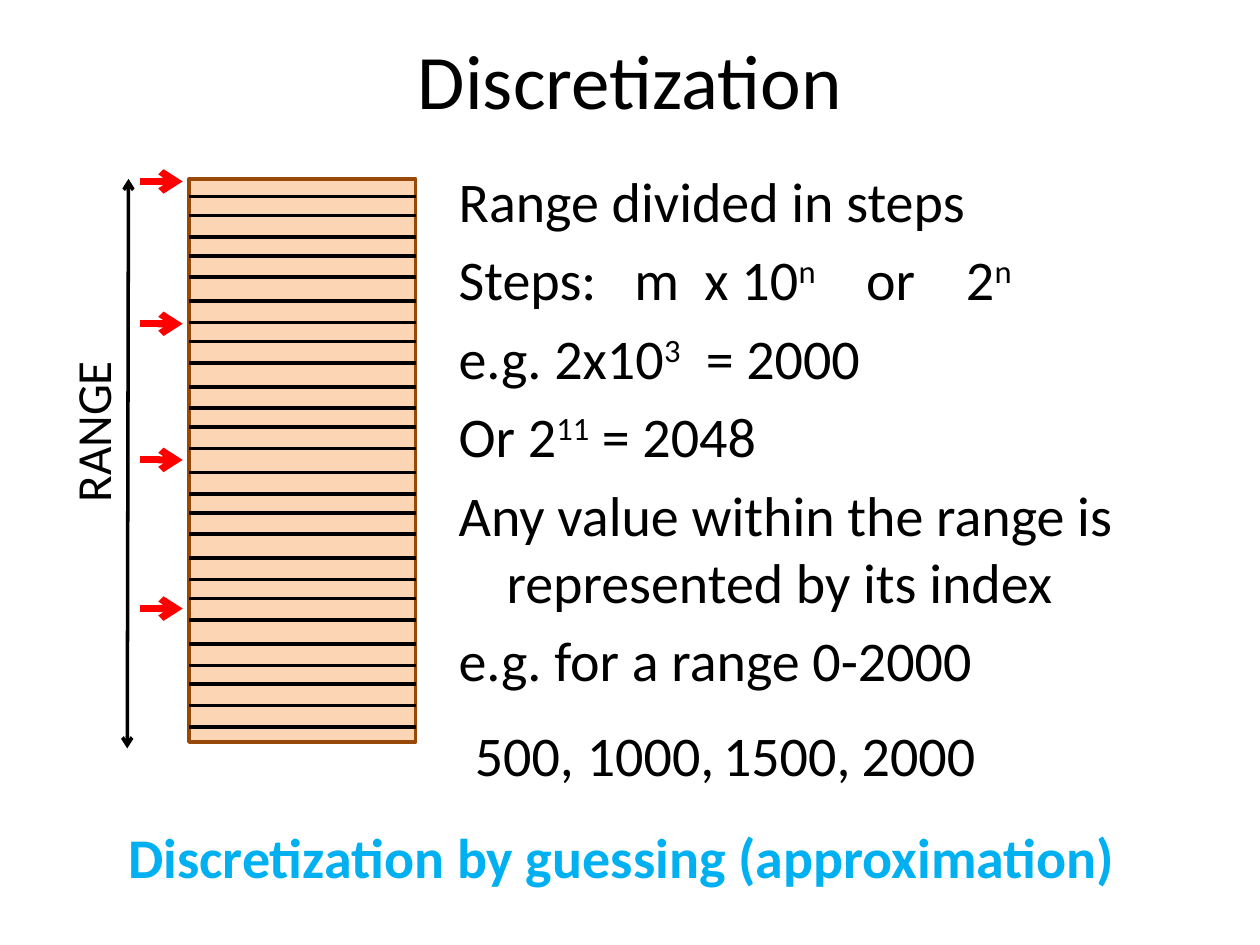
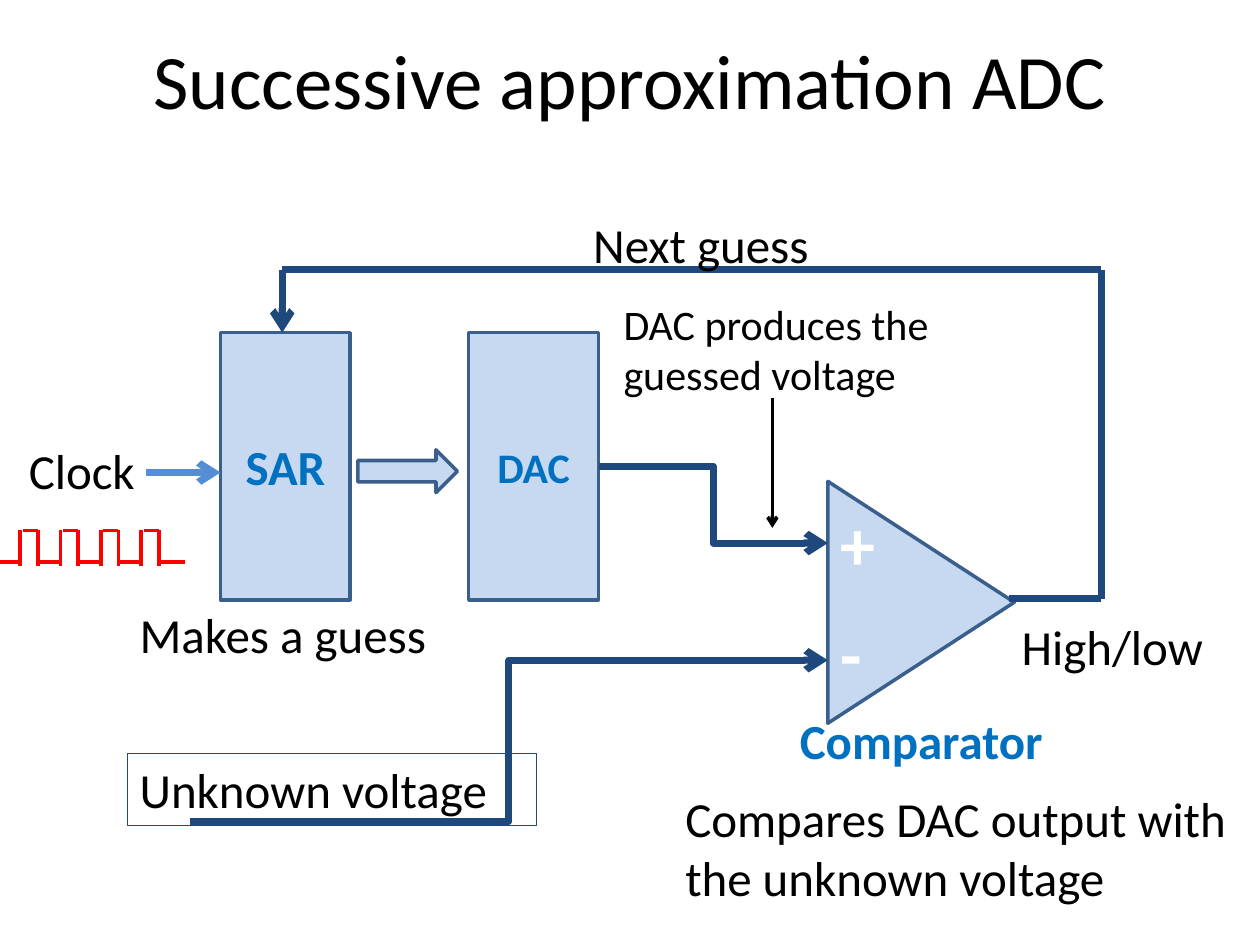
"""Build two slides on discretization and the successive approximation converter."""
from dataclasses import dataclass

from lxml.etree import SubElement
from pptx import Presentation
from pptx.dml.color import RGBColor
from pptx.enum.shapes import MSO_CONNECTOR, MSO_SHAPE
from pptx.enum.text import MSO_ANCHOR, MSO_AUTO_SIZE, PP_ALIGN
from pptx.oxml.ns import qn
from pptx.util import Inches, Pt


@dataclass(frozen=True)
class Theme:
    font: str = "Calibri"
    ink: str = "000000"
    white: str = "FFFFFF"
    red: str = "FF0000"
    sky: str = "00B0F0"
    label_blue: str = "0070C0"
    wire: str = "1F497D"
    clock_wire: str = "558ED5"
    block_fill: str = "C6D9F1"
    block_line: str = "3A5F8C"
    scale_fill: str = "FCD5B5"
    scale_line: str = "984807"
    title_size: int = 44
    sign_size: int = 40
    body_size: int = 32
    label_size: int = 28
    small_size: int = 24
    thin: float = 2
    thick: float = 4


THEME = Theme()

BODY_LINES = [
    ("Range divided in steps",),
    ("Steps:   m  x 10", "n", "    or    2", "n"),
    ("e.g. 2x10", "3", "  = 2000"),
    ("Or 2", "11", " = 2048"),
    ("Any value within the range is represented by its index",),
    ("e.g. for a range 0-2000",),
]
SCALE = (1.5, 1.42, 1.8, 4.47)
STEP_PERIOD, STEP_GROUPS = 0.68, 6
STEP_OFFSETS = (1.71, 1.88, 2.03, 2.2)
END_STEPS = (1.56, 5.77)
MARKS = [
    ("500,", 4.83, 3.67, 1.1),
    ("1000,", 3.65, 4.56, 1.33),
    ("1500,", 2.57, 5.64, 1.33),
    ("2000", 1.44, 6.74, 1.22),
]

BLOCKS = [
    ("SAR", 1.75, THEME.label_size),
    ("DAC", 3.72, THEME.small_size),
]
LABELS = [
    ("Makes a guess", (1.01, 4.75, 2.59, 0.57)),
    ("High/low", (8.01, 4.84, 1.84, 0.57)),
    ("Next guess", (4.61, 1.65, 2.76, 0.57)),
    ("Clock", (0.13, 3.45, 1.08, 0.57)),
    ("Compares DAC output with the unknown voltage", (5.34, 6.21, 4.68, 1.04)),
]
INPUT_SIGNS = [("+", 3.92), ("-", 4.8)]
FEEDBACK = [(8.01, 4.75), (8.74, 4.75), (8.74, 2.14), (2.24, 2.14), (2.24, 2.64)]
PULSES, PULSE_PERIOD, PULSE_WIDTH = 4, 0.32, 0.14
PULSE_START, PULSE_HIGH, PULSE_LOW = 0.16, 4.21, 4.46


def style_span(span, size, color=THEME.ink, bold=False):
    span.font.name = THEME.font
    span.font.size = Pt(size)
    span.font.bold = bold
    span.font.color.rgb = RGBColor.from_string(color)


def write(frame, text, size, color=THEME.ink, bold=False, align=PP_ALIGN.LEFT):
    frame.text = text
    for para in frame.paragraphs:
        para.alignment = align
        for span in para.runs:
            style_span(span, size, color, bold)


def place(shape, area):
    shape.left, shape.top, shape.width, shape.height = map(Inches, area)


def add_page(deck, layout, title):
    page = deck.slides.add_slide(deck.slide_layouts[layout])
    place(page.shapes.title, (0.5, 0, 9, 1.25))
    write(page.shapes.title.text_frame, title, THEME.title_size, align=PP_ALIGN.CENTER)
    page.shapes.title.text_frame.vertical_anchor = MSO_ANCHOR.MIDDLE
    return page


def add_label(page, text, area, size=THEME.label_size, wrap=True, **style):
    box = page.shapes.add_textbox(*map(Inches, area))
    box.text_frame.word_wrap = wrap
    box.text_frame.auto_size = MSO_AUTO_SIZE.SHAPE_TO_FIT_TEXT
    write(box.text_frame, text, size, **style)
    return box


def add_block(page, kind, area, fill=THEME.block_fill, line=THEME.block_line):
    block = page.shapes.add_shape(kind, *map(Inches, area))
    block.shadow.inherit = False
    block.fill.solid()
    block.fill.fore_color.rgb = RGBColor.from_string(fill)
    block.line.color.rgb = RGBColor.from_string(line)
    block.line.width = Pt(THEME.thin)
    return block


def add_line(page, start, end, color=THEME.ink, width=THEME.thin, ends=(),
             kind=MSO_CONNECTOR.STRAIGHT):
    line = page.shapes.add_connector(kind, *map(Inches, (*start, *end)))
    line.line.color.rgb = RGBColor.from_string(color)
    line.line.width = Pt(width)
    properties = line._element.spPr
    for end_name in ends:
        SubElement(properties.find(qn("a:ln")), qn(f"a:{end_name}")).set("type", "arrow")
    SubElement(properties, qn("a:effectLst"))


def fill_body(body):
    place(body, (3.54, 1.27, 5.83, 5.59))
    frame = body.text_frame
    frame.auto_size = MSO_AUTO_SIZE.NONE
    for index, parts in enumerate(BODY_LINES):
        para = frame.paragraphs[0] if index == 0 else frame.add_paragraph()
        properties = para._p.get_or_add_pPr()
        properties.set("marL", str(Inches(0.38)))
        properties.set("indent", str(-Inches(0.38)))
        SubElement(properties, qn("a:buNone"))
        for position, part in enumerate(parts):
            span = para.add_run()
            span.text = part
            style_span(span, THEME.body_size)
            if position % 2:
                span._r.get_or_add_rPr().set("baseline", "30000")


def build_discretization(deck):
    page = add_page(deck, 1, "Discretization")
    fill_body(page.placeholders[1])

    left, top, width, _ = SCALE
    add_block(page, MSO_SHAPE.RECTANGLE, SCALE, THEME.scale_fill, THEME.scale_line)
    steps = [offset + group * STEP_PERIOD
             for group in range(STEP_GROUPS) for offset in STEP_OFFSETS]
    for y in (*steps, *END_STEPS):
        add_line(page, (left, y), (left + width, y))

    add_line(page, (1.02, top), (1.01, 5.94), ends=("headEnd", "tailEnd"))
    add_label(page, "RANGE", (-0.15, 2.92, 1.76, 0.57)).rotation = 270
    for text, y, label_left, label_width in MARKS:
        add_line(page, (1.11, y), (1.45, y), THEME.red, THEME.thick, ("tailEnd",))
        add_label(page, text, (label_left, 5.67, label_width, 0.64),
                  THEME.body_size, wrap=False)
    add_label(page, "Discretization by guessing (approximation)", (0.21, 6.48, 9.45, 0.64),
              THEME.body_size, color=THEME.sky, bold=True, align=PP_ALIGN.CENTER)


def draw_clock_signal(page):
    low_start = -0.02
    for pulse in range(PULSES):
        rise = PULSE_START + pulse * PULSE_PERIOD
        fall = rise + PULSE_WIDTH
        add_line(page, (low_start, PULSE_LOW), (rise, PULSE_LOW), THEME.red)
        add_line(page, (rise + 0.02, PULSE_HIGH), (fall, PULSE_HIGH), THEME.red)
        for x in (rise, fall):
            add_line(page, (x, PULSE_LOW + 0.03), (x, PULSE_HIGH), THEME.red)
        low_start = fall
    add_line(page, (low_start, PULSE_LOW), (1.47, PULSE_LOW), THEME.red)


def build_converter(deck):
    page = add_page(deck, 5, "Successive approximation ADC")
    comparator = add_block(page, MSO_SHAPE.ISOSCELES_TRIANGLE, (6.35, 4.04, 1.92, 1.48))
    comparator.rotation = 90
    add_label(page, "Comparator", (6.25, 5.59, 2.56, 0.57), color=THEME.label_blue, bold=True)

    for name, left, size in BLOCKS:
        block = add_block(page, MSO_SHAPE.RECTANGLE, (left, 2.64, 1.03, 2.12))
        block.text_frame.vertical_anchor = MSO_ANCHOR.MIDDLE
        write(block.text_frame, name, size, THEME.label_blue, True, PP_ALIGN.CENTER)
    add_block(page, MSO_SHAPE.RIGHT_ARROW, (2.84, 3.57, 0.79, 0.34))

    unknown = add_label(page, "Unknown voltage", (1.01, 5.98, 3.25, 0.57))
    unknown.line.color.rgb = RGBColor.from_string(THEME.wire)
    unknown.line.width = Pt(0.75)
    for start, end in [((4.75, 3.7), (6.57, 4.31)), ((1.51, 6.52), (6.57, 5.24))]:
        add_line(page, start, end, THEME.wire, THEME.thick, ("tailEnd",), MSO_CONNECTOR.ELBOW)

    for start, end in zip(FEEDBACK, FEEDBACK[1:]):
        ends = ("tailEnd",) if end == FEEDBACK[-1] else ()
        add_line(page, start, end, THEME.wire, THEME.thick, ends)

    for text, area in LABELS:
        add_label(page, text, area)
    add_label(page, "DAC produces the guessed voltage", (4.85, 2.32, 2.95, 0.91),
              THEME.small_size)
    add_line(page, (6.13, 3.16), (6.13, 4.19), ends=("tailEnd",))
    for sign, top in INPUT_SIGNS:
        add_label(page, sign, (6.57, top, 0.59, 0.77), THEME.sign_size,
                  color=THEME.white, bold=True)
    add_line(page, (1.16, 3.75), (1.75, 3.75), THEME.clock_wire, THEME.thick, ("tailEnd",))
    draw_clock_signal(page)


def main():
    deck = Presentation()
    deck.slide_width, deck.slide_height = Inches(10), Inches(7.5)
    build_discretization(deck)
    build_converter(deck)
    deck.save("out.pptx")


if __name__ == "__main__":
    main()
